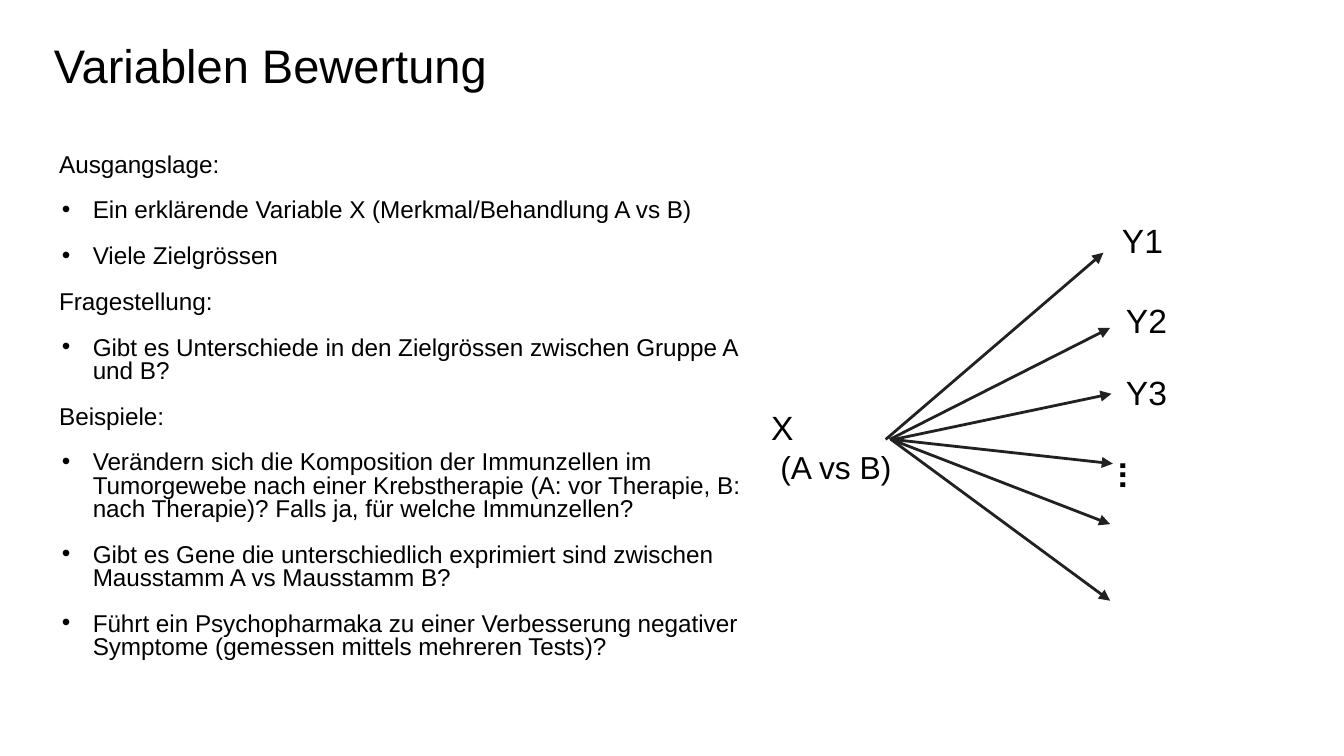
from lxml.etree import SubElement
from pptx import Presentation
from pptx.dml.color import RGBColor
from pptx.enum.shapes import MSO_CONNECTOR
from pptx.enum.text import MSO_ANCHOR, MSO_AUTO_SIZE, PP_ALIGN
from pptx.oxml.ns import qn
from pptx.util import Pt

PX = 9144  # EMU, 100 px to the inch
SLIDE_WIDTH = 1000
BLACK = RGBColor(0x00, 0x00, 0x00)
ARROW_GREY = RGBColor(0x21, 0x21, 0x21)
FONT = "Arial"
INSET = 10

TITLE = "Variablen Bewertung"
OUTLINE = {
    "Ausgangslage:": [
        "Ein erklärende Variable X (Merkmal/Behandlung A vs B)",
        "Viele Zielgrössen",
    ],
    "Fragestellung:": [
        "Gibt es Unterschiede in den Zielgrössen zwischen Gruppe A und B?",
    ],
    "Beispiele:": [
        "Verändern sich die Komposition der Immunzellen im Tumorgewebe nach einer "
        "Krebstherapie (A: vor Therapie, B: nach Therapie)? "
        "Falls ja, für welche Immunzellen?",
        "Gibt es Gene die unterschiedlich exprimiert sind zwischen "
        "Mausstamm A vs Mausstamm B?",
        "Führt ein Psychopharmaka zu einer Verbesserung negativer Symptome "
        "(gemessen mittels mehreren Tests)?",
    ],
}

FAN_Y = 327
# start x, tip x, tip y
ARROWS = [
    (662, 826, 244),
    (665, 827, 293),
    (664, 828, 345),
    (663, 826, 390),
    (663, 826, 447),
    (659, 821, 188),
]
TARGETS = [("Y1", 825, 154), ("Y2", 828, 213), ("Y3", 828, 267)]


class SlideBuilder:
    def __init__(self, deck):
        self.page = deck.slides.add_slide(deck.slide_layouts[1])
        self.diagram = self.page.shapes.add_group_shape()

    def place(self, box, left, top, width, height, anchor=MSO_ANCHOR.TOP):
        box.left, box.top = left * PX, top * PX
        box.width, box.height = width * PX, height * PX
        frame = box.text_frame
        frame.word_wrap = True
        frame.auto_size = MSO_AUTO_SIZE.NONE
        frame.vertical_anchor = anchor
        frame.margin_left = frame.margin_right = INSET * PX
        frame.margin_top = frame.margin_bottom = INSET * PX
        return frame

    def style(self, para, size, bold=False):
        for span in para.runs:
            span.font.name = FONT
            span.font.size = Pt(size)
            span.font.bold = bold
            span.font.color.rgb = BLACK

    def indent(self, para, left, hanging=0):
        properties = para._p.get_or_add_pPr()
        properties.set("marL", str(left * PX))
        properties.set("indent", str(-hanging * PX))
        return properties

    def title(self, text, *bounds):
        frame = self.place(self.page.shapes.title, *bounds, MSO_ANCHOR.BOTTOM)
        frame.text = text
        frame.paragraphs[0].alignment = PP_ALIGN.LEFT
        self.style(frame.paragraphs[0], 25.2)

    def outline(self, sections, *bounds):
        frame = self.place(self.page.placeholders[1], *bounds)
        lines = []
        for heading, points in sections.items():
            lines += [(heading, False)] + [(point, True) for point in points]
        frame.text = "\n".join(text for text, _ in lines)
        for number, (para, (_, bulleted)) in enumerate(zip(frame.paragraphs, lines)):
            if bulleted:
                properties = self.indent(para, 25, 23)
                colour = SubElement(properties, qn("a:buClr"))
                SubElement(colour, qn("a:srgbClr"), val=str(BLACK))
                SubElement(properties, qn("a:buFont"), typeface=FONT)
                SubElement(properties, qn("a:buChar"), char="•")
            else:
                SubElement(self.indent(para, 0), qn("a:buNone"))
            para.line_spacing = 0.8
            para.space_before = Pt(12 if number else 0)
            self.style(para, 13)

    def arrow(self, x1, y1, x2, y2):
        line = self.diagram.shapes.add_connector(
            MSO_CONNECTOR.STRAIGHT, x1 * PX, y1 * PX, x2 * PX, y2 * PX
        )
        line.line.color.rgb = ARROW_GREY
        line.line.width = Pt(1.5)
        SubElement(line.line._get_or_add_ln(), qn("a:tailEnd"), type="triangle")
        SubElement(line._element.spPr, qn("a:effectLst"))

    def label(self, text, *bounds, size=18, bold=False):
        box = self.diagram.shapes.add_textbox(0, 0, PX, PX)
        frame = self.place(box, *bounds)
        frame.text = text
        for para in frame.paragraphs:
            self.style(para, size, bold)
        return box


def main():
    deck = Presentation()
    deck.slide_width = SLIDE_WIDTH * PX
    deck.slide_height = deck.slide_width * 9 // 16
    slide = SlideBuilder(deck)
    slide.title(TITLE, 30, 16, 932, 63)
    slide.outline(OUTLINE, 34, 105, 537, 394)

    for start_x, tip_x, tip_y in ARROWS:
        slide.arrow(start_x, FAN_Y, tip_x, tip_y)

    source = slide.label("X\n(A vs B)", 559, 293, 126, 79)
    variable, groups = source.text_frame.paragraphs
    slide.indent(variable, 5)
    groups.alignment = PP_ALIGN.CENTER
    slide.style(groups, 17)

    for name, left, top in TARGETS:
        slide.label(name, left, top, 107, 50)

    dots = slide.label("...", 805, 361, 106, 51, bold=True)
    dots.rotation = 90
    dots.text_frame.paragraphs[0].line_spacing = 1.5

    deck.save("out.pptx")


if __name__ == "__main__":
    main()
